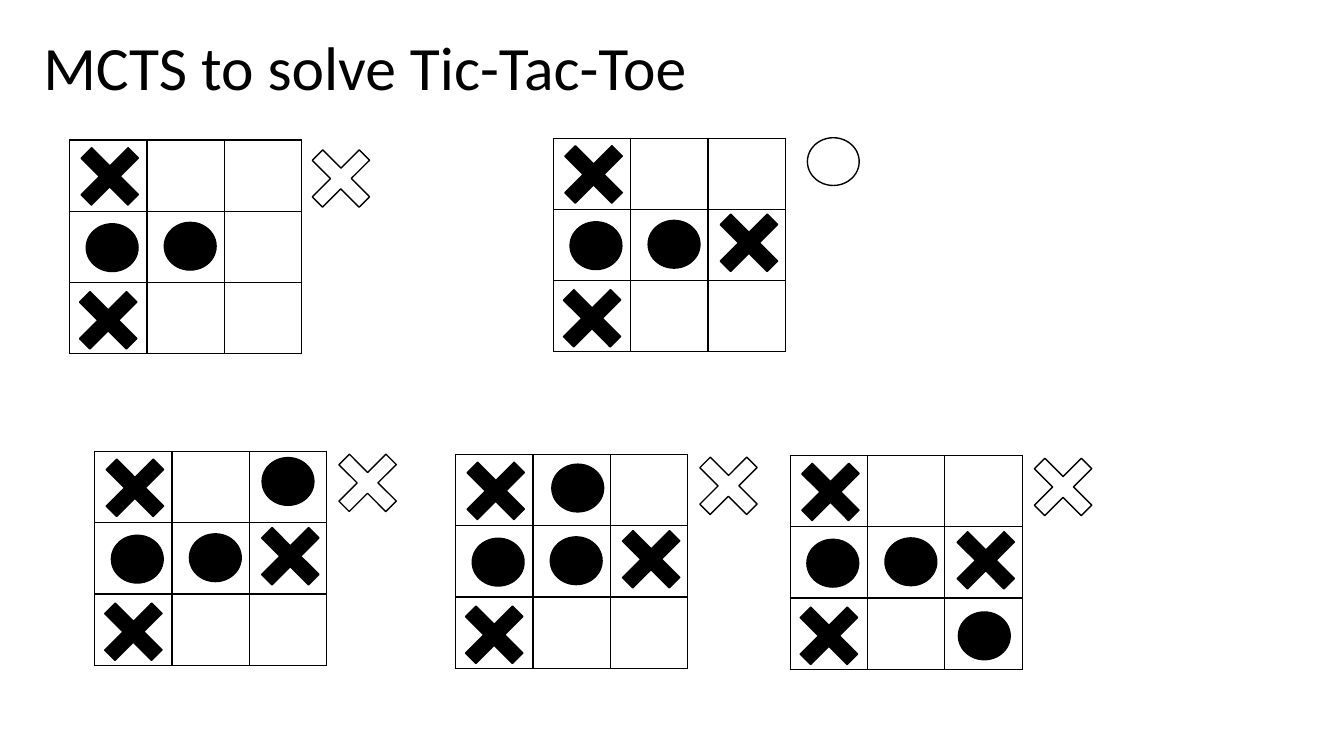
from dataclasses import dataclass
from itertools import product

from lxml.etree import SubElement
from pptx import Presentation
from pptx.dml.color import RGBColor
from pptx.enum.shapes import MSO_SHAPE as Preset
from pptx.enum.text import MSO_ANCHOR as Anchor
from pptx.oxml.ns import qn
from pptx.slide import Slide
from pptx.table import _Cell as Cell
from pptx.util import Inches, Pt

COLOURS = {"ink": "000000"}
SLIDE_W, SLIDE_H = Inches(13.33), Inches(7.5)
SIDE = 3  # columns and rows of a board
COL, ROW = Inches(2.3 / SIDE), Inches(2.12 / SIDE)
LINE = Pt(1)
CROSS_ARM = 0.39

# Width and height of each mark, in columns and rows
MARK_SIZE = {"X": (0.86, 0.93), "O": (0.67, 0.67)}

# Shift of a mark from the middle of its cell, by mark, row and column
SHIFT = {
    ("X", 0, 0): (0.02, 0.01),
    ("X", 1, 2): (0.03, -0.03),
    ("X", 2, 0): (0, 0.03),
    ("O", 0, 1): (0.08, -0.03),
    ("O", 0, 2): (0, -0.08),
    ("O", 1, 0): (0.05, 0.01),
    ("O", 1, 1): (0.06, -0.01),
    ("O", 2, 2): (0.01, 0.03),
}


@dataclass(frozen=True)
class Board:
    left: float  # percent of slide width
    top: float  # percent of slide height
    cells: tuple[str, str, str]
    to_move: str
    turn_col: float = 3.53  # middle of the to-move mark, in columns and rows
    turn_row: float = 0.44


BOARDS = (
    Board(5.18, 18.53, ("X..", "OO.", "X.."), "X", 3.51, 0.54),
    Board(41.18, 18.27, ("X..", "OOX", "X.."), "O", 3.62, 0.33),
    Board(7.05, 59.73, ("X.O", "OOX", "X.."), "X"),
    Board(33.9, 60.13, ("XO.", "OOX", "X.."), "X"),
    Board(58.8, 60.27, ("X..", "OOX", "X.O"), "X"),
)


def across(percent: float) -> int:
    return round(SLIDE_W * percent / 100)


def down(percent: float) -> int:
    return round(SLIDE_H * percent / 100)


def ink() -> RGBColor:
    return RGBColor.from_string(COLOURS["ink"])


def add_title(slide: Slide, wording: str) -> None:
    title = slide.shapes.add_textbox(across(2.48), down(-0.27), across(86.25), down(19.33))
    frame = title.text_frame
    frame.word_wrap = True
    frame.vertical_anchor = Anchor.MIDDLE
    frame.text = wording
    heading = frame.paragraphs[0]
    heading.line_spacing = 0.9
    font = heading.runs[0].font
    font.name, font.size = "Calibri", Pt(44)
    font.color.rgb = ink()


def outline_cell(cell: Cell) -> None:
    cell.fill.background()
    properties = cell._tc.get_or_add_tcPr()
    for position, edge in enumerate(("lnL", "lnR", "lnT", "lnB")):
        border = SubElement(properties, qn(f"a:{edge}"), w=str(LINE))
        paint = SubElement(border, qn("a:solidFill"))
        SubElement(paint, qn("a:srgbClr"), val=COLOURS["ink"])
        properties.insert(position, border)  # borders come before the fill


def add_mark(slide: Slide, board: Board, mark: str, col: float, row: float, played: bool) -> None:
    """Centre a mark on a point given in columns and rows of the board."""
    width, height = MARK_SIZE[mark]
    piece = slide.shapes.add_shape(
        Preset.CROSS if mark == "X" else Preset.OVAL,
        across(board.left) + round((col - width / 2) * COL),
        down(board.top) + round((row - height / 2) * ROW),
        round(width * COL),
        round(height * ROW),
    )
    if mark == "X":
        piece.adjustments[0] = CROSS_ARM
        piece.rotation = 315
    piece.shadow.inherit = False
    piece.line.color.rgb = ink()
    piece.line.width = LINE
    if played:
        piece.fill.solid()
        piece.fill.fore_color.rgb = ink()
    else:
        piece.fill.background()


def add_board(slide: Slide, board: Board) -> None:
    # Grid
    grid = slide.shapes.add_table(
        SIDE, SIDE, across(board.left), down(board.top), SIDE * COL, SIDE * ROW
    ).table
    grid.first_row = grid.horz_banding = False
    for cell in grid.iter_cells():
        outline_cell(cell)

    # Played marks
    for row, col in product(range(SIDE), repeat=2):
        mark = board.cells[row][col]
        if mark in MARK_SIZE:
            dx, dy = SHIFT[mark, row, col]
            add_mark(slide, board, mark, col + 0.5 + dx, row + 0.5 + dy, played=True)

    # Player to move
    add_mark(slide, board, board.to_move, board.turn_col, board.turn_row, played=False)


def main() -> None:
    deck = Presentation()
    deck.slide_width, deck.slide_height = SLIDE_W, SLIDE_H
    slide = deck.slides.add_slide(deck.slide_layouts[6])
    add_title(slide, "MCTS to solve Tic-Tac-Toe")
    for board in BOARDS:
        add_board(slide, board)
    deck.save("out.pptx")


if __name__ == "__main__":
    main()
